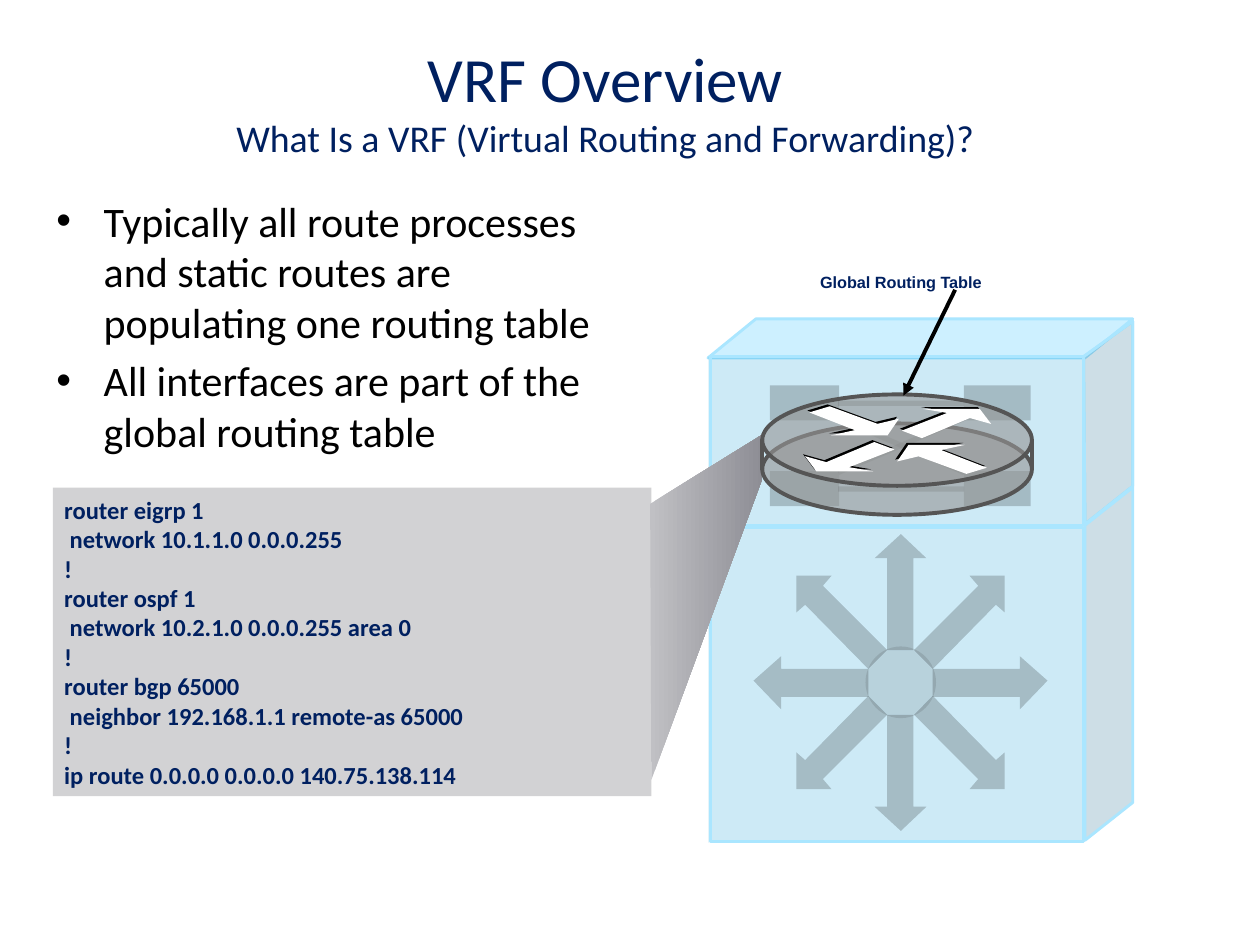
from lxml import etree
from pptx import Presentation
from pptx import util as u
from pptx.dml.color import RGBColor
from pptx.enum import shapes, text
from pptx.oxml.ns import qn

NAVY = RGBColor(0x00, 0x20, 0x60)
BLACK = RGBColor(0, 0, 0)
WHITE = RGBColor(255, 255, 255)
PANEL = RGBColor(0xD2, 0xD2, 0xD4)
EDGE = RGBColor(0xAA, 0xE6, 0xFF)
LID = RGBColor(0x00, 0xB4, 0xFF)
FRONT = RGBColor(0x00, 0x96, 0xD5)
SIDE = RGBColor(0x00, 0x5A, 0x80)
DISC = RGBColor(0x96, 0x96, 0x96)
RIM = RGBColor(0x55, 0x55, 0x55)
FADE = [(0, RGBColor(0xC0, 0xC0, 0xC4)), (1, RGBColor(0x8E, 0x8E, 0x95))]

TITLE = [("VRF Overview", 36),
         ("What Is a VRF (Virtual Routing and Forwarding)?", 21.6)]
BULLETS = [
    "Typically all route processes and static routes are populating one routing table",
    "All interfaces are part of the global routing table",
]
CODE = [
    "router eigrp 1", " network 10.1.1.0 0.0.0.255", "!",
    "router ospf 1", " network 10.2.1.0 0.0.0.255 area 0", "!",
    "router bgp 65000", " neighbor 192.168.1.1 remote-as 65000", "!",
    "ip route 0.0.0.0 0.0.0.0 140.75.138.114",
]
LABEL = "Global Routing Table"

# Cabinet faces
TOP = [(404.6, 204.5), (432, 182.2), (647.3, 182.2), (620, 204.5)]
LOW = [(620, 300.2), (647.3, 278.6), (647.3, 458.6), (620, 480.2)]
HIGH = [(619.2, 203.8), (647.3, 183.6), (647.3, 277.9), (620, 299.5)]
BASE = [((404.6, 300.2, 214.6, 181.4), None), ((406, 301.7, 213, 179.3), EDGE)]
HEAD = [((404.6, 203.8, 214.6, 96.5), None), ((406, 203.8, 213, 96.5), EDGE)]

# Star arrows, as offsets from the hub, with the mirrorings of each
HUB = (514.6, 390)
STAR = [
    ([(-18.4, -7.7), (-68.2, -7.7), (-68.2, -15), (-84, -1), (-68.2, 15.4),
      (-68.2, 8.2), (-18.4, 8.2)], [(1, 1), (-1, 1)]),
    ([(-7.7, -18.5), (-44.4, -55.2), (-39.4, -61), (-59.5, -61),
      (-59.5, -40), (-54.5, -44.4), (-18.4, -7.7)],
     [(1, 1), (-1, 1), (-1, -1), (1, -1)]),
    ([(7.4, -18.5), (7.4, -71), (14.8, -71), (0.2, -84.8), (-14.8, -71),
      (-7.7, -71), (-7.7, -18.5)], [(1, 1), (1, -1)]),
]

# Switch mark: four pads and the lines between them
PADS = [(x, y, w, 20) for y in (269.3, 220.3) for x, w in ((440, 39.6), (550.8, 38.2))]
LINKS = [(551, 239, 479, 270), (479, 279.4, 551, 279.4),
         (479, 230.4, 551, 230.4), (551, 270, 479, 239)]

# Router arrows, as offsets from the middle; each also turned half round
MID = (512.1, 250.4)
DARTS = [
    [(2.1, -5.4), (13.6, -1.1), (41, -12.6), (53.2, -9.2), (46.7, -17.8),
     (14.3, -17.8), (28, -15.5)],
    [(-50.7, -15.8), (-39.1, -19.3), (-11.7, -9.3), (0.5, -12.2),
     (-6, -2.7), (-38.4, -2.7), (-24.7, -5.7)],
]
BEAM = [(371.5, 288), (435.6, 248.4), (435.6, 273.6), (372.2, 445.7)]


def fade(fill, pct):
    for tag in fill.iter(qn("a:srgbClr")):
        etree.SubElement(tag, qn("a:alpha")).set("val", str(pct * 1000))


def paint(shp, color, pct=100, line=None, wide=1.63):
    shp.shadow.inherit = False
    shp.fill.solid()
    shp.fill.fore_color.rgb = color
    if pct < 100:
        fade(shp._element.spPr, pct)
    if line is None:
        shp.line.fill.background()
    else:
        shp.line.color.rgb = line
        shp.line.width = u.Pt(wide)
    return shp


def box(host, kind, rect, *look):
    return paint(host.add_shape(kind, *map(u.Pt, rect)), *look)


def poly(host, pts, *look):
    pts = [(u.Pt(x), u.Pt(y)) for x, y in pts]
    pen = host.build_freeform(*pts[0])
    pen.add_line_segments(pts[1:], close=True)
    return paint(pen.convert_to_shape(), *look)


def link(host, ends, color, wide, pct=100):
    line = host.add_connector(shapes.MSO_CONNECTOR.STRAIGHT, *map(u.Pt, ends))
    line.line.color.rgb = color
    line.line.width = u.Pt(wide)
    props = line._element.spPr
    if pct < 100:
        fade(props, pct)
    etree.SubElement(props, qn("a:effectLst"))
    return line


def place(mid, pts, sx, sy, shift=0):
    return [(mid[0] + sx * x + shift, mid[1] + sy * y + shift) for x, y in pts]


def write(para, words, size, color, bold=False, face="Calibri"):
    run = para.add_run()
    run.text = words
    font = run.font
    font.name, font.size, font.bold = face, u.Pt(size), bold
    font.color.rgb = color
    return run


def frame(host, rect):
    body = host.add_textbox(*map(u.Pt, rect)).text_frame
    body.word_wrap = True
    return body


def paras(body, count):
    return [body.paragraphs[0]] + [body.add_paragraph() for _ in range(count - 1)]


RECT, OVAL = shapes.MSO_SHAPE.RECTANGLE, shapes.MSO_SHAPE.OVAL
deck = Presentation()
deck.slide_width, deck.slide_height = u.Pt(720), u.Pt(540)
page = deck.slides.add_slide(deck.slide_layouts[6]).shapes

# Switch cabinet: each face is a tint under an edged tint
case = page.add_group_shape().shapes
for edge in (None, EDGE):
    poly(case, TOP, LID, 10, edge)
for rect, edge in BASE:
    box(case, RECT, rect, FRONT, 10, edge)
for edge in (None, EDGE):
    poly(case, LOW, SIDE, 10, edge)
for pts, flips in STAR:
    for sx, sy in flips:
        for _ in range(2):
            poly(case, place(HUB, pts, sx, sy), BLACK, 10)
box(case, OVAL, (494.6, 369.4, 40.3, 41), BLACK, 10)
for rect, edge in HEAD:
    box(case, RECT, rect, FRONT, 10, edge)
for _ in range(2):
    poly(case, HIGH, SIDE, 10, EDGE)
for rect in PADS:
    box(case, RECT, rect, BLACK, 20)
for ends in LINKS:
    link(case, ends, BLACK, 3, 20)

# Title
body = frame(page, (25.2, 23.8, 641.5, 66.2))
body.vertical_anchor = text.MSO_ANCHOR.MIDDLE
para = body.paragraphs[0]
para.alignment = text.PP_ALIGN.CENTER
for i, (words, size) in enumerate(TITLE):
    if i:
        para.add_line_break()
    write(para, words, size, NAVY)

# Bullets
body = frame(page, (25.2, 108, 345.6, 281.5))
for para, words in zip(paras(body, len(BULLETS)), BULLETS):
    para.space_before = u.Pt(4.8)
    props = para._p.get_or_add_pPr()
    props.set("marL", str(u.Pt(27)))
    props.set("indent", str(u.Pt(-27)))
    etree.SubElement(props, qn("a:buFont")).set("typeface", "Arial")
    etree.SubElement(props, qn("a:buChar")).set("char", "•")
    write(para, words, 24, BLACK)

# Router settings
body = box(page, RECT, (30.2, 278.6, 342, 176.4), PANEL).text_frame
body.word_wrap = True
body.vertical_anchor = text.MSO_ANCHOR.MIDDLE
body.margin_left = body.margin_right = u.Pt(6.5)
body.margin_top = body.margin_bottom = u.Pt(3.2)
for para, words in zip(paras(body, len(CODE)), CODE):
    para.alignment = text.PP_ALIGN.LEFT
    write(para, words, 14, NAVY, True)

# Beam from the settings to the router
beam = poly(page, BEAM, PANEL)
beam.fill.gradient()
beam.fill.gradient_angle = 0
for stop, (at, color) in zip(beam.fill.gradient_stops, FADE):
    stop.position = at
    stop.color.rgb = color

# Router
disc = page.add_group_shape().shapes
for top in (242, 225.4):
    box(disc, OVAL, (435.6, top, 154.1, 52.2), DISC, 61, RIM, 2.25)
for color, shift in ((BLACK, 0), (WHITE, 1.1)):
    for pts in DARTS:
        for turn in (1, -1):
            poly(disc, place(MID, pts, turn, turn, shift), color)
for x in (435.6, 589.7):
    link(disc, (x, 250.6, x, 268.6), RIM, 2.25)

# Label and its arrow
arrow = link(page, (545.8, 165.6, 516.2, 226.1), BLACK, 2.25)
arrow.line._get_or_add_ln().append(
    etree.Element(qn("a:tailEnd"), type="triangle"))
body = frame(page, (462.2, 141.8, 174.2, 25.9))
body.word_wrap = False
body.margin_left = body.margin_right = u.Pt(6.5)
body.margin_top = body.margin_bottom = u.Pt(3.2)
run = write(body.paragraphs[0], LABEL, 16, NAVY, True, "Arial")
run._r.get_or_add_rPr().set("baseline", "-25000")

deck.save("out.pptx")
